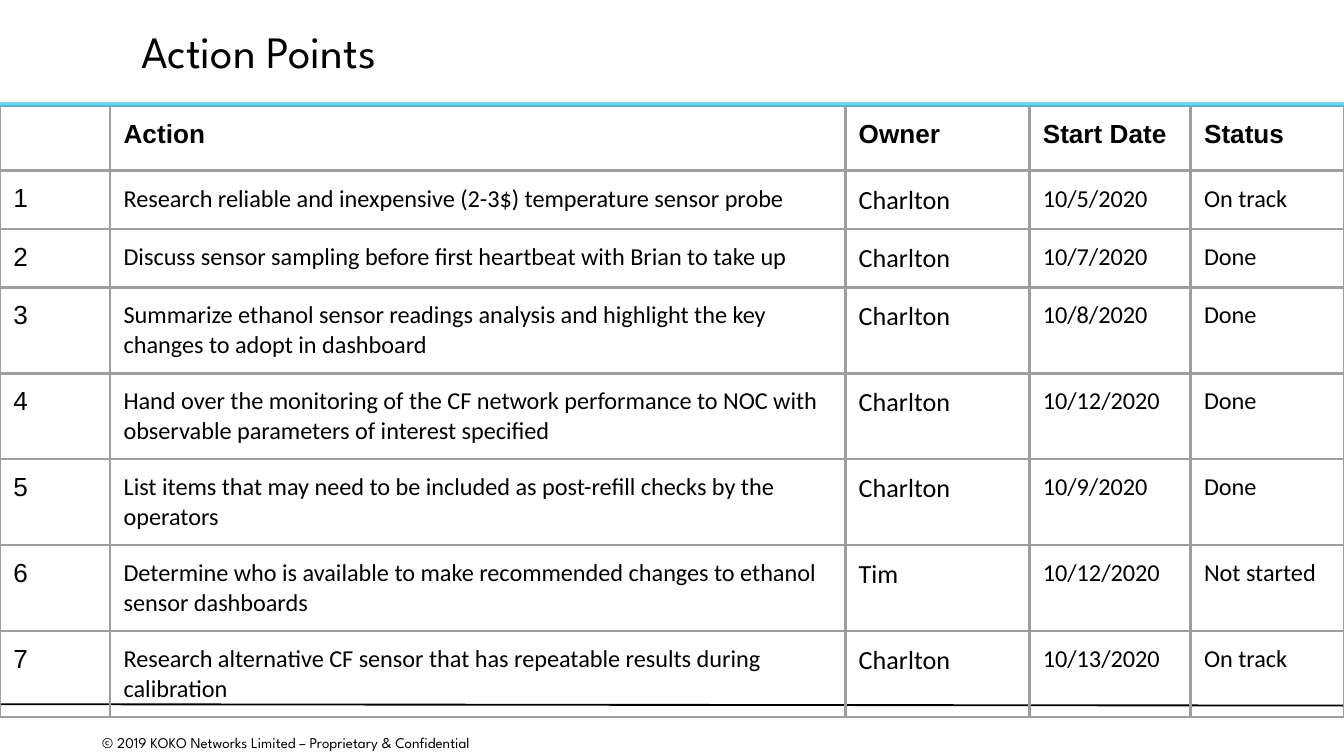
"""Build the Action Points slide with its table of tasks, owners, dates and statuses."""
from lxml.etree import SubElement
from pptx import Presentation
from pptx.dml.color import RGBColor
from pptx.enum.shapes import MSO_CONNECTOR
from pptx.enum.text import MSO_ANCHOR, PP_ALIGN
from pptx.oxml.ns import qn
from pptx.util import Inches, Pt

BLACK = RGBColor(0x00, 0x00, 0x00)
SKY_BLUE = RGBColor(0x65, 0xD9, 0xF8)
BORDER_GREY = RGBColor(0x9E, 0x9E, 0x9E)

HEADERS = ["", "Action", "Owner", "Start Date", "Status"]
ACTIONS = [
    ("Research reliable and inexpensive (2-3$) temperature sensor probe",
     "Charlton", "10/5/2020", "On track"),
    ("Discuss sensor sampling before first heartbeat with Brian to take up",
     "Charlton", "10/7/2020", "Done"),
    ("Summarize ethanol sensor readings analysis and highlight the key changes to adopt in dashboard",
     "Charlton", "10/8/2020", "Done"),
    ("Hand over the monitoring of the CF network performance to NOC with "
     "observable parameters of interest specified",
     "Charlton", "10/12/2020", "Done"),
    ("List items that may need to be included as post-refill checks by the operators",
     "Charlton", "10/9/2020", "Done"),
    ("Determine who is available to make recommended changes to ethanol sensor dashboards",
     "Tim", "10/12/2020", "Not started"),
    ("Research alternative CF sensor that has repeatable results during calibration",
     "Charlton", "10/13/2020", "On track"),
]
COLUMN_WIDTHS = [0.82, 5.47, 1.37, 1.2, 1.14]
ROW_HEIGHTS = [0.48] + [0.43] * 2 + [0.64] * 5

HEADER_FORMAT = {"name": "Arial", "size": Pt(14), "bold": True}
NUMBER_FORMAT = {"name": "Arial", "size": Pt(14), "bold": False}
OWNER_FORMAT = {"name": "Calibri", "size": Pt(14), "bold": False}
BODY_FORMAT = {"name": "Calibri", "size": Pt(13), "bold": False}
COLUMN_FORMATS = [NUMBER_FORMAT, BODY_FORMAT, OWNER_FORMAT, BODY_FORMAT, BODY_FORMAT]
FRAME_FORMAT = {
    "margin_left": Inches(0.07), "margin_right": Inches(0.07),
    "margin_top": Inches(0.04), "margin_bottom": Inches(0.04),
    "vertical_anchor": MSO_ANCHOR.MIDDLE, "word_wrap": True,
}


def write_text(paragraph, text, font_format):
    run = paragraph.add_run()
    run.text = text
    run.font.color.rgb = BLACK
    for name, value in font_format.items():
        setattr(run.font, name, value)


def add_border(cell):
    properties = cell._tc.get_or_add_tcPr()
    for position, side in enumerate(("a:lnL", "a:lnR", "a:lnT", "a:lnB")):
        line = properties.makeelement(qn(side), {"w": str(Pt(1.5))})
        fill = SubElement(line, qn("a:solidFill"))
        SubElement(fill, qn("a:srgbClr"), val=str(BORDER_GREY))
        properties.insert(position, line)


presentation = Presentation()
presentation.slide_width = Inches(10)
presentation.slide_height = Inches(10 * 9 / 16)
slide = presentation.slides.add_slide(presentation.slide_layouts[5])

for start_y, end_y, color, width in [(0.77, 0.77, SKY_BLUE, 1.5), (5.24, 5.25, BLACK, 1)]:
    rule = slide.shapes.add_connector(
        MSO_CONNECTOR.STRAIGHT, Inches(0), Inches(start_y), Inches(10), Inches(end_y))
    rule.line.color.rgb = color
    rule.line.width = Pt(width)
    SubElement(rule._element.spPr, qn("a:effectLst"))

title = slide.shapes.title
title.left, title.top, title.width, title.height = map(Inches, (0.98, 0.08, 8.64, 0.64))
footer = slide.shapes.add_textbox(*map(Inches, (0, 5.42, 4.29, 0.21)))
for shape, text, size, alignment, spacing in [
    (title, "Action Points", 24, PP_ALIGN.LEFT, 0.9),
    (footer, "© 2019 KOKO Networks Limited – Proprietary & Confidential ", 8, PP_ALIGN.CENTER, 1.0),
]:
    for name, value in FRAME_FORMAT.items():
        setattr(shape.text_frame, name, value)
    paragraph = shape.text_frame.paragraphs[0]
    paragraph.alignment = alignment
    paragraph.line_spacing = spacing
    write_text(paragraph, text, {"name": "League Spartan", "size": Pt(size)})
footer.text_frame.vertical_anchor = MSO_ANCHOR.TOP

table = slide.shapes.add_table(
    len(ROW_HEIGHTS), len(COLUMN_WIDTHS), Inches(0), Inches(0.79),
    Inches(sum(COLUMN_WIDTHS)), Inches(sum(ROW_HEIGHTS))).table
table.first_row = False
table.horz_banding = False
for column, width in zip(table.columns, COLUMN_WIDTHS):
    column.width = Inches(width)
for row, height in zip(table.rows, ROW_HEIGHTS):
    row.height = Inches(height)

rows = [HEADERS] + [(str(number), *action) for number, action in enumerate(ACTIONS, 1)]
for row_index, values in enumerate(rows):
    for column_index, value in enumerate(values):
        cell = table.cell(row_index, column_index)
        cell.fill.background()
        for side in ("left", "right", "top", "bottom"):
            setattr(cell, f"margin_{side}", Inches(0.1))
        add_border(cell)
        paragraph = cell.text_frame.paragraphs[0]
        if value:
            font_format = COLUMN_FORMATS[column_index] if row_index else HEADER_FORMAT
            write_text(paragraph, value, font_format)
        else:
            end_properties = SubElement(paragraph._p, qn("a:endParaRPr"), sz="1400")
            SubElement(end_properties, qn("a:latin"), typeface="Arial")

presentation.save("out.pptx")
